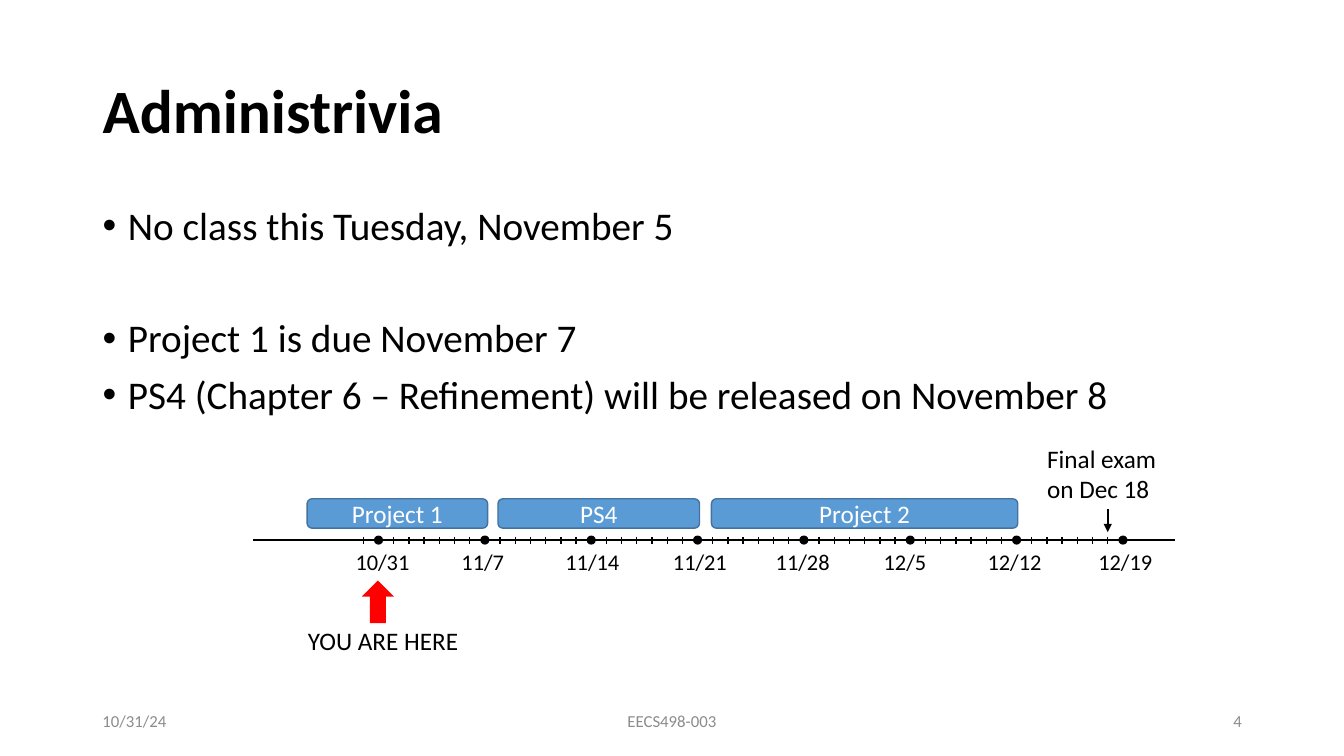
from lxml.etree import SubElement
from pptx import Presentation
from pptx.dml.color import RGBColor
from pptx.enum.shapes import MSO_CONNECTOR as Link, MSO_SHAPE as Preset
from pptx.enum.text import MSO_ANCHOR as Anchor, MSO_AUTO_SIZE as Fit, PP_ALIGN as Align
from pptx.oxml.ns import qn
from pptx.util import Cm, Pt


def paint(fill, color):
    fill.solid()
    fill.fore_color.rgb = RGBColor.from_string(color)


def write(paragraph, text, color="000000", align=Align.LEFT, **font_format):
    """Fill one paragraph; font_format holds font attributes such as size and bold."""
    paragraph.text = text
    paragraph.alignment = align
    font = paragraph.runs[0].font
    for name, value in {"name": "Calibri", **font_format}.items():
        setattr(font, name, value)
    paint(font.fill, color)


deck = Presentation()
deck.slide_width, deck.slide_height = Cm(33.87), Cm(19.05)
slide = deck.slides.add_slide(deck.slide_layouts[1])
shapes = slide.shapes

# Title and announcements
title, body = slide.placeholders
for holder, top, height, anchor in [(title, 1.02, 3.68, Anchor.MIDDLE),
                                    (body, 5.08, 12.09, Anchor.TOP)]:
    holder.left, holder.top = Cm(2.33), Cm(top)
    holder.width, holder.height = Cm(29.21), Cm(height)
    holder.text_frame.auto_size = Fit.NONE
    holder.text_frame.vertical_anchor = anchor
heading = title.text_frame.paragraphs[0]
write(heading, "Administrivia", size=Pt(44), bold=True)
heading.line_spacing = 0.9

announcements = [
    ("No class this Tuesday, November 5", 0),
    ("Project 1 is due November 7", 50),
    ("PS4 (Chapter 6 – Refinement) will be released on November 8", 10),
]
for index, (announcement, space_before) in enumerate(announcements):
    frame = body.text_frame
    item = frame.add_paragraph() if index else frame.paragraphs[0]
    properties = item._p.get_or_add_pPr()
    properties.set("marL", str(Cm(0.64)))
    properties.set("indent", str(-Cm(0.64)))
    write(item, announcement, size=Pt(28))
    item.line_spacing = 0.9
    item.space_before = Pt(space_before)

# Timeline: one dot a week, one tick for each day between
AXIS_Y, FIRST_DAY_X, WEEK = 13.61, 9.54, 2.68
date_lefts = {"10/31": 8.71, "11/7": 11.38, "11/14": 14, "11/21": 16.71,
              "11/28": 19.3, "12/5": 22.02, "12/12": 24.64, "12/19": 27.43}
exam_x = FIRST_DAY_X + WEEK * 48 / 7

day_xs = [FIRST_DAY_X + WEEK * day / 7 for day in range(-1, 49) if day % 7]
lines = [(6.38, AXIS_Y, 29.62, AXIS_Y, 1.25, False)]
lines += [(x, AXIS_Y - 0.08, x, AXIS_Y + 0.1, 1, False) for x in day_xs]
lines += [(exam_x, 12.83, exam_x, 13.41, 1.25, True)]
for x1, y1, x2, y2, weight, has_arrow in lines:
    line = shapes.add_connector(Link.STRAIGHT, Cm(x1), Cm(y1), Cm(x2), Cm(y2))
    line.line.width = Pt(weight)
    paint(line.line.fill, "000000")
    if has_arrow:
        SubElement(line.line._get_or_add_ln(), qn("a:tailEnd"), type="triangle")
    SubElement(line._element.spPr, qn("a:effectLst"))

DOT = 0.23
markers = [(Preset.OVAL, FIRST_DAY_X + WEEK * week - DOT / 2, AXIS_Y - DOT / 2, DOT, DOT, "000000")
           for week in range(len(date_lefts))]
markers.append((Preset.UP_ARROW, 9.12, 14.63, 0.81, 1.07, "FF0000"))
for preset, left, top, width, height, color in markers:
    marker = shapes.add_shape(preset, Cm(left), Cm(top), Cm(width), Cm(height))
    marker.shadow.inherit = False
    paint(marker.fill, color)
    marker.line.fill.background()

for assignment, left, width in [("Project 1", 7.74, 4.55), ("PS4", 12.55, 5.08),
                                ("Project 2", 17.93, 7.72)]:
    bar = shapes.add_shape(Preset.ROUNDED_RECTANGLE, Cm(left), Cm(12.57), Cm(width), Cm(0.74))
    bar.shadow.inherit = False
    paint(bar.fill, "5B9BD5")
    paint(bar.line.fill, "43739E")
    bar.line.width = Pt(1)
    bar.text_frame.vertical_anchor = Anchor.MIDDLE
    write(bar.text_frame.paragraphs[0], assignment, "FFFFFF", Align.CENTER, size=Pt(18))

# Dates, notes and footer
labels = [(date, left, 13.69, 2.16, 0.94, 16, "000000", Align.LEFT, Anchor.TOP)
          for date, left in date_lefts.items()]
labels += [
    ("YOU ARE HERE", 7.32, 15.62, 4.67, 1.03, 18, "000000", Align.CENTER, Anchor.TOP),
    ("Final exam on Dec 18", 26.14, 11.05, 3.51, 1.8, 18, "000000", Align.LEFT, Anchor.TOP),
]
labels += [(text, left, 17.65, width, 1.02, 12, "8C8C8C", align, Anchor.MIDDLE)
           for text, left, width, align in [("10/31/24", 2.33, 7.62, Align.LEFT),
                                            ("EECS498-003", 11.22, 11.43, Align.CENTER),
                                            ("4", 23.93, 7.62, Align.RIGHT)]]
for text, left, top, width, height, size, color, align, anchor in labels:
    label = shapes.add_textbox(Cm(left), Cm(top), Cm(width), Cm(height)).text_frame
    label.word_wrap = True
    label.vertical_anchor = anchor
    write(label.paragraphs[0], text, color, align, size=Pt(size))

deck.save("out.pptx")
